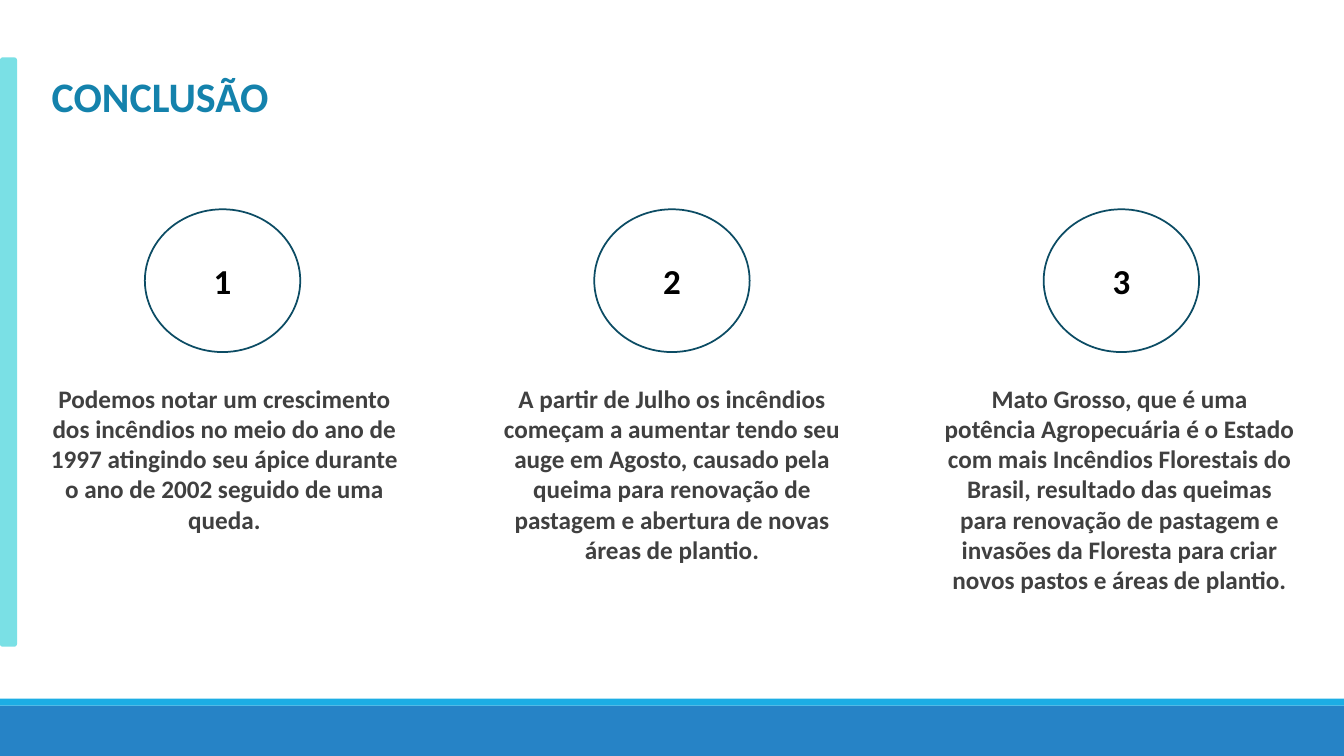
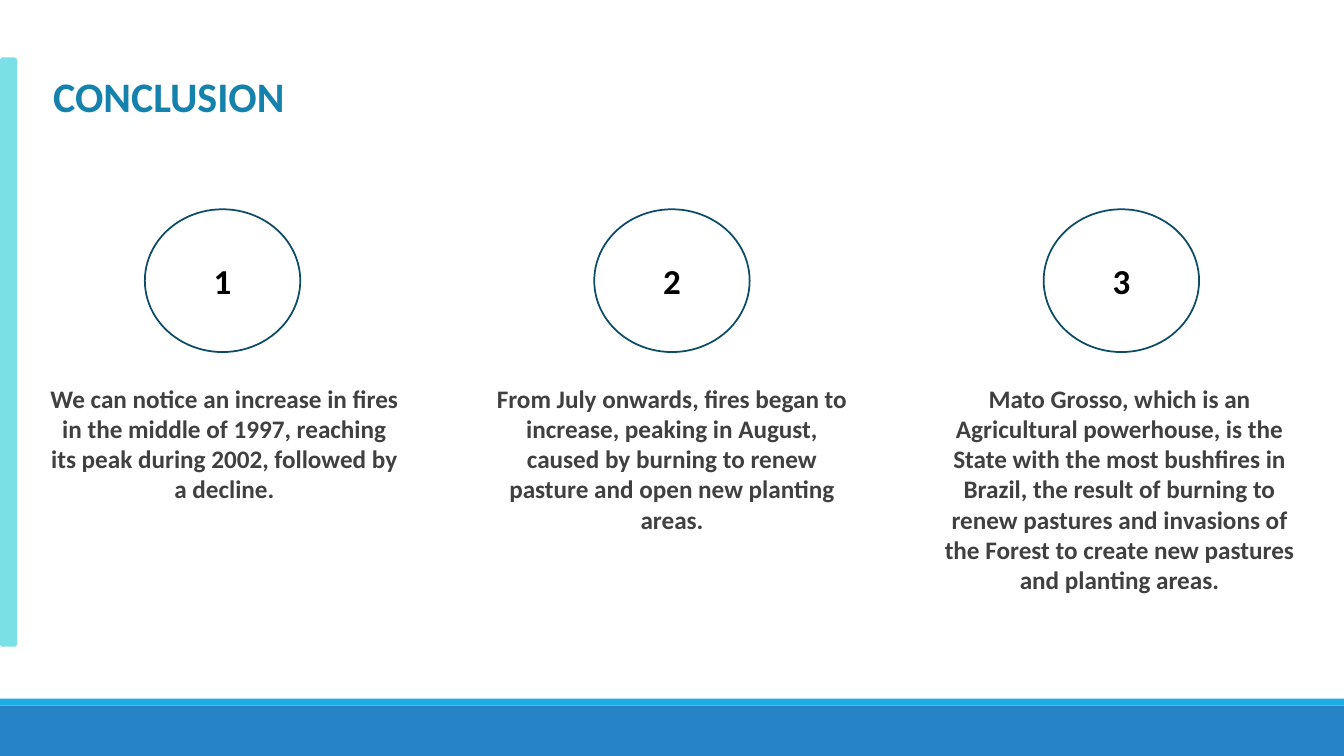
from dataclasses import dataclass

from pptx import Presentation
from pptx.dml.color import RGBColor
from pptx.enum.shapes import MSO_SHAPE as Shape
from pptx.enum.text import MSO_ANCHOR as Anchor, MSO_AUTO_SIZE as AutoSize, PP_ALIGN as Align
from pptx.util import Pt


@dataclass(frozen=True)
class Theme:
    font: str = "Calibri"
    title: str = "1482AC"
    body: str = "404040"
    number: str = "000000"
    circle_fill: str = "FFFFFF"
    circle_line: str = "0C4C64"
    side_bar: str = "7AE0E5"
    footer: str = "2683C6"
    footer_edge: str = "1CADE4"
    title_size: int = 30
    number_size: int = 25
    body_size: int = 18


THEME = Theme()

# title, title width, conclusions
SLIDES = [
    ("CONCLUSÃO", 174, [
        "Podemos notar um crescimento dos incêndios no meio do ano de 1997 "
        "atingindo seu ápice durante o ano de 2002 seguido de uma queda.",
        "A partir de Julho os incêndios começam a aumentar tendo seu auge em Agosto, "
        "causado pela queima para renovação de pastagem e abertura de novas áreas de plantio.",
        "Mato Grosso, que é uma potência Agropecuária é o Estado com mais Incêndios "
        "Florestais do Brasil, resultado das queimas para renovação de pastagem e "
        "invasões da Floresta para criar novos pastos e áreas de plantio.",
    ]),
    ("CONCLUSION", 186.5, [
        "We can notice an increase in fires in the middle of 1997, reaching its peak "
        "during 2002, followed by a decline.",
        "From July onwards, fires began to increase, peaking in August, caused by "
        "burning to renew pasture and open new planting areas.",
        "Mato Grosso, which is an Agricultural powerhouse, is the State with the most "
        "bushfires in Brazil, the result of burning to renew pastures and invasions of "
        "the Forest to create new pastures and planting areas.",
    ]),
]

WIDTH, HEIGHT = 960, 540
BANDS = [
    (Shape.RECTANGLE, (0, 504, WIDTH, 36), THEME.footer),
    (Shape.RECTANGLE, (0, 499, WIDTH, 5), THEME.footer_edge),
    (Shape.ROUNDED_RECTANGLE, (0, 41, 12.2, 421), THEME.side_bar),
]
TITLE_LEFT, TITLE_TOP, TITLE_HEIGHT = 27.4, 46.8, 44
CIRCLE_TOP, CIRCLE_WIDTH, CIRCLE_HEIGHT, CIRCLE_PITCH = 149.5, 111, 102, 321
BODY_TOP, BODY_WIDTH, BODY_HEIGHT, BODY_PITCH = 270, 265.7, 138, 319.7


def points(*lengths):
    return [Pt(length) for length in lengths]


def add_plain_shape(page, kind, place, fill, line=None):
    shape = page.shapes.add_shape(kind, *points(*place))
    shape.shadow.inherit = False
    shape.fill.solid()
    shape.fill.fore_color.rgb = RGBColor.from_string(fill)
    if line:
        shape.line.color.rgb = RGBColor.from_string(line)
        shape.line.width = Pt(1.25)
    else:
        shape.line.fill.background()
    return shape


def write(shape, text, size, color, **frame_format):
    """Put one bold, centred paragraph into the shape."""
    frame = shape.text_frame
    for name, value in frame_format.items():
        setattr(frame, name, value)
    para = frame.paragraphs[0]
    para.alignment = Align.CENTER
    span = para.add_run()
    span.text = text
    for name, value in dict(name=THEME.font, size=Pt(size), bold=True).items():
        setattr(span.font, name, value)
    span.font.color.rgb = RGBColor.from_string(color)


def add_title(page, text, width):
    title = page.shapes.title
    title.left, title.top, title.width, title.height = points(
        TITLE_LEFT, TITLE_TOP, width, TITLE_HEIGHT)
    write(title, text, THEME.title_size, THEME.title, word_wrap=False,
          auto_size=AutoSize.NONE, vertical_anchor=Anchor.TOP)


def column_left(index, count, pitch, width):
    """Left edge of an item in a row centred on the slide."""
    return WIDTH / 2 + (index - (count - 1) / 2) * pitch - width / 2


def add_conclusions(page, conclusions):
    count = len(conclusions)
    for index, text in enumerate(conclusions):
        left = column_left(index, count, CIRCLE_PITCH, CIRCLE_WIDTH)
        circle = add_plain_shape(
            page, Shape.OVAL, (left, CIRCLE_TOP, CIRCLE_WIDTH, CIRCLE_HEIGHT),
            THEME.circle_fill, THEME.circle_line)
        write(circle, str(index + 1), THEME.number_size, THEME.number,
              vertical_anchor=Anchor.MIDDLE)

        left = column_left(index, count, BODY_PITCH, BODY_WIDTH)
        box = page.shapes.add_textbox(*points(left, BODY_TOP, BODY_WIDTH, BODY_HEIGHT))
        write(box, text, THEME.body_size, THEME.body, word_wrap=True,
              auto_size=AutoSize.SHAPE_TO_FIT_TEXT)


def main():
    deck = Presentation()
    deck.slide_width, deck.slide_height = points(WIDTH, HEIGHT)
    title_only = deck.slide_layouts[5]
    for title, title_width, conclusions in SLIDES:
        page = deck.slides.add_slide(title_only)
        for band in BANDS:
            add_plain_shape(page, *band)
        add_title(page, title, title_width)
        add_conclusions(page, conclusions)
    deck.save("out.pptx")


if __name__ == "__main__":
    main()
